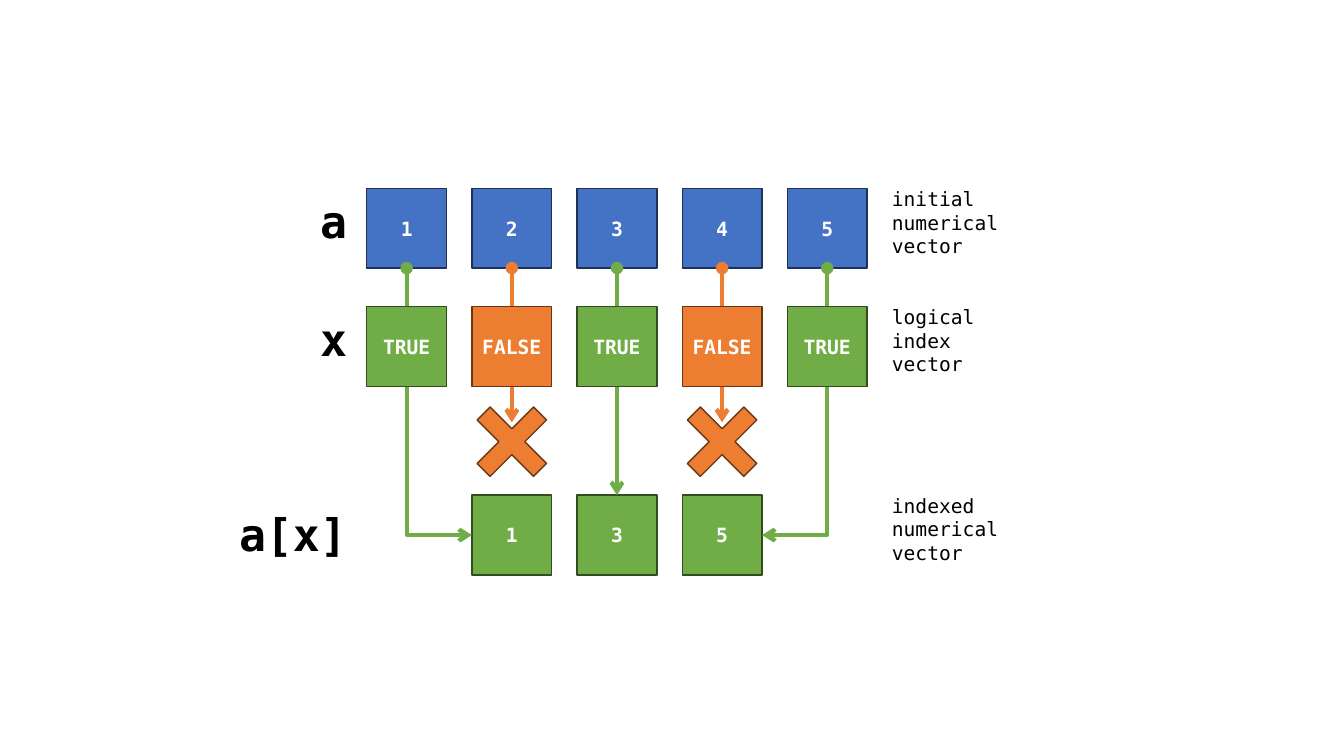
import pptx
import pptx.util
import pptx.dml.color
import pptx.enum.shapes
import pptx.enum.text
import pptx.oxml.ns
import lxml.etree

Pt = pptx.util.Pt
RGB = pptx.dml.color.RGBColor
Kind = pptx.enum.shapes.MSO_SHAPE
Link = pptx.enum.shapes.MSO_CONNECTOR
Align = pptx.enum.text.PP_ALIGN
Fit = pptx.enum.text.MSO_AUTO_SIZE
qn = pptx.oxml.ns.qn

FONT = "DejaVu Sans Mono"
WHITE = RGB(0xFF, 0xFF, 0xFF)
BLACK = RGB(0, 0, 0)
BLUE = (RGB(0x44, 0x72, 0xC4), RGB(0x1E, 0x32, 0x56))
GREEN = (RGB(0x70, 0xAD, 0x47), RGB(0x31, 0x4C, 0x1F))
ORANGE = (RGB(0xED, 0x7D, 0x31), RGB(0x68, 0x37, 0x15))

VALUES = [1, 2, 3, 4, 5]
INDEX = [True, False, True, False, True]
ROWS = [
    ("a", 134.5, 34, "initial numerical vector", 0, 5),
    ("x", 219, 34, "logical index vector", 0, 5),
    ("a[x]", 353.7, 92, "indexed numerical vector", 1, 3),
]

SIDE, STEP, LEFT = 57, 75.1, 262
EDGE, NOTE = 255, 630
CROSS, TIP = 287, 301.7
TOP, MID, LOW = [row[1] for row in ROWS]

deck = pptx.Presentation()
deck.slide_width, deck.slide_height = Pt(960), Pt(540)
slide = deck.slides.add_slide(deck.slide_layouts[6])
shapes = slide.shapes


def col(num):
    return LEFT + num * STEP


def style(frame, size, color, bold, align):
    para = frame.paragraphs[0]
    para.alignment = align
    font = para.runs[0].font
    font.name, font.size, font.bold = FONT, Pt(size), bold
    font.color.rgb = color


def block(kind, x, y, w, h, fill, edge, width):
    shape = shapes.add_shape(kind, Pt(x), Pt(y), Pt(w), Pt(h))
    shape.shadow.inherit = False
    if fill is None:
        shape.fill.background()
    else:
        shape.fill.solid()
        shape.fill.fore_color.rgb = fill
    shape.line.color.rgb = edge
    shape.line.width = Pt(width)
    return shape


def cell(num, y, text, tone):
    box = block(Kind.RECTANGLE, col(num), y, SIDE, SIDE, *tone, 1)
    frame = box.text_frame
    frame.margin_left = frame.margin_right = 0
    frame.vertical_anchor = pptx.enum.text.MSO_ANCHOR.MIDDLE
    frame.text = text
    style(frame, 14, WHITE, True, Align.CENTER)
    return box


def label(x, y, w, h, text, size, bold, align, wrap):
    frame = shapes.add_textbox(Pt(x), Pt(y), Pt(w), Pt(h)).text_frame
    frame.word_wrap = wrap
    frame.auto_size = Fit.SHAPE_TO_FIT_TEXT
    frame.text = text
    style(frame, size, BLACK, bold, align)


def arrow(kind, x1, y1, x2, y2, color):
    line = shapes.add_connector(kind, Pt(x1), Pt(y1), Pt(x2), Pt(y2))
    line.line.color.rgb = color
    line.line.width = Pt(3)
    props = line.line._get_or_add_ln()
    for tag, cap in (("a:headEnd", "oval"), ("a:tailEnd", "arrow")):
        lxml.etree.SubElement(props, qn(tag)).set("type", cap)
    lxml.etree.SubElement(line._element.spPr, qn("a:effectLst"))
    return line


def bend(start, end, color):
    x1, x2 = col(start) + SIDE / 2, col(end) + (SIDE if end < start else 0)
    y1, y2 = TOP + SIDE, LOW + SIDE / 2
    mx, my = (x1 + x2) / 2, (y1 + y2) / 2
    half, rise = (y2 - y1) / 2, abs(x2 - x1) / 2
    sign = 1 if x2 > x1 else -1
    line = arrow(Link.ELBOW, mx + sign * half, my - rise, mx - sign * half, my + rise, color)
    props = line._element.spPr
    props.find(qn("a:prstGeom")).set("prst", "bentConnector2")
    props.find(qn("a:xfrm")).set("rot", str((270 if sign > 0 else 90) * 60000))


for name, y, wide, note, first, count in ROWS:
    block(Kind.RECTANGLE, col(first) - 5, y - 4.5, (count - 1) * STEP + SIDE + 10.5, 65.5, None, WHITE, 2)
    label(EDGE - wide, y + (5 if y == LOW else 0), wide, 46, name, 32, True, Align.RIGHT, False)
    label(NOTE, y - 4.5, 103, 58, note, 14, False, Align.LEFT, True)

heads = [cell(num, TOP, str(val), BLUE) for num, val in enumerate(VALUES)]
kept = [val for val, keep in zip(VALUES, INDEX) if keep]
picks = [cell(num, LOW, str(val), GREEN) for num, val in enumerate(kept, 1)]

bend(0, 1, GREEN[0])
bend(4, 3, GREEN[0])
drop = arrow(Link.STRAIGHT, 0, 0, 1, 1, GREEN[0])
drop.begin_connect(heads[2], 2)
drop.end_connect(picks[1], 0)

for num, keep in enumerate(INDEX):
    if not keep:
        cross = block(Kind.CROSS, col(num), CROSS, SIDE, SIDE, *ORANGE, 1)
        cross.adjustments[0] = 0.385
        cross.rotation = 45
        mid = col(num) + SIDE / 2
        stop = arrow(Link.STRAIGHT, mid, TOP + SIDE, mid, TIP, ORANGE[0])
        stop.begin_connect(heads[num], 2)
    cell(num, MID, str(keep).upper(), GREEN if keep else ORANGE)

deck.save("out.pptx")
